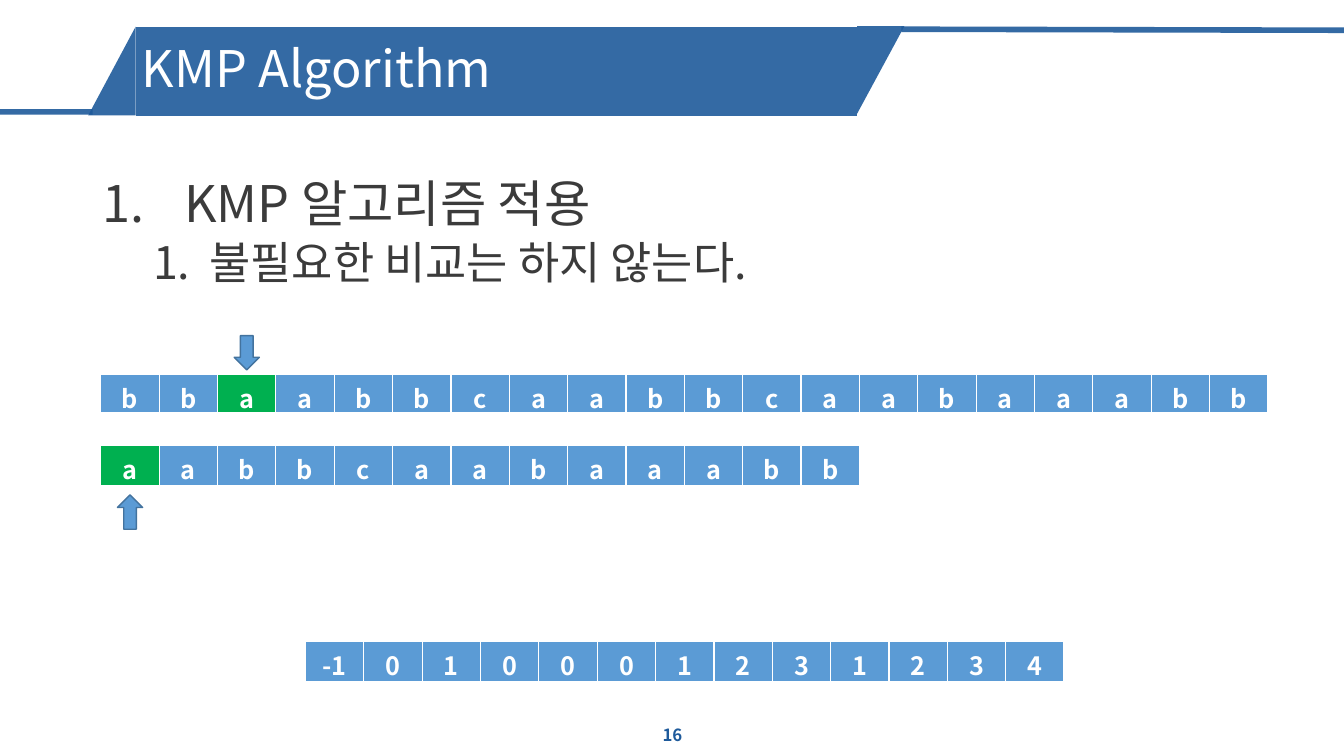
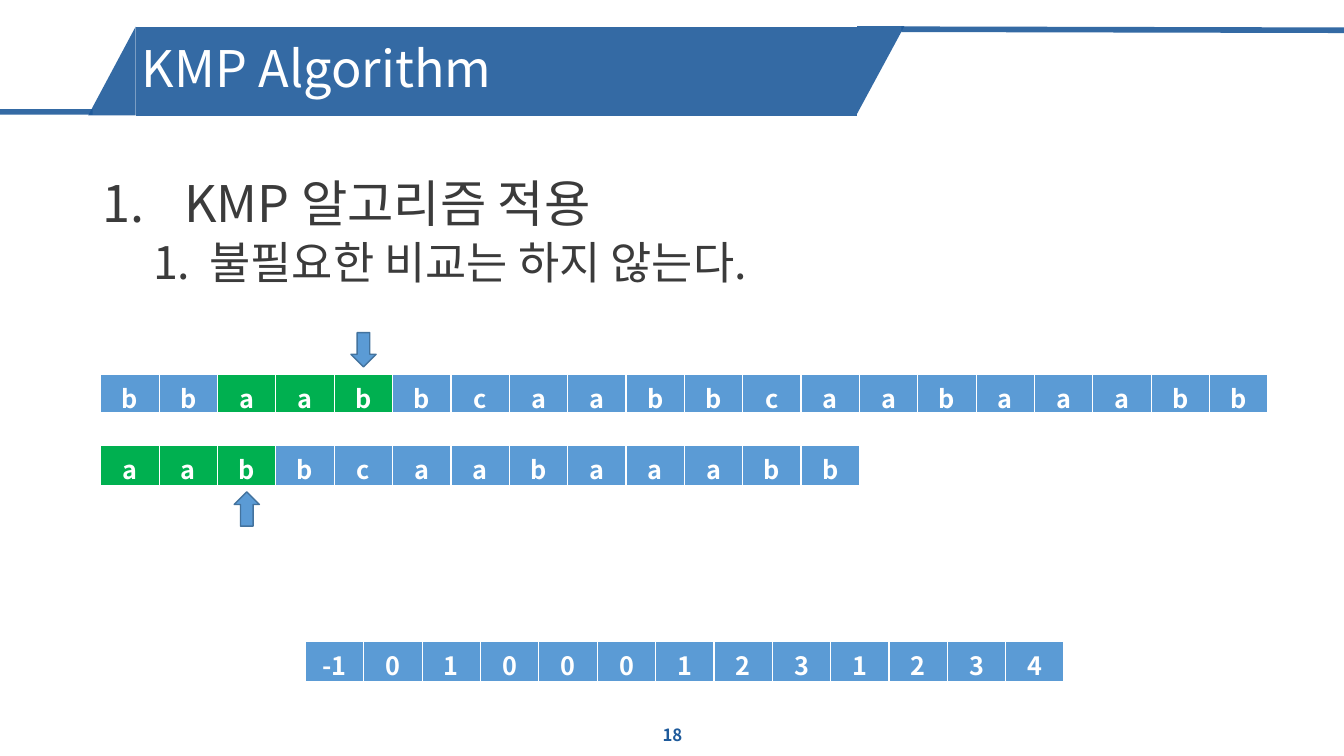
from lxml.etree import SubElement
from pptx import Presentation
from pptx.dml.color import RGBColor as RGB
from pptx.enum.shapes import MSO_CONNECTOR as LINE, MSO_SHAPE as SHAPE
from pptx.enum.text import MSO_ANCHOR as ANCHOR, PP_ALIGN as ALIGN
from pptx.oxml.ns import qn
from pptx.util import Inches, Pt

COLORS = {"band": "1E5A9B", "text": "3B3B3B", "white": "FFFFFF",
          "cell": "5B9BD5", "match": "00B050", "edge": "43739E"}
FONT = "Noto Sans CJK KR"
LEFT = 1.0                 # left edge of the cell grid
COL = 11.58 / 20           # width of one cell
ARROW_W, ARROW_H = 0.25, 0.34

TEXT = "bbaabbcaabbcaabaaabb"
PATTERN = "aabbcaabaaabb"
FAILURE = [-1, 0, 1, 0, 0, 0, 1, 2, 3, 1, 2, 3, 4]

# Page number, start of the match in the text, matched length, arrow lift
STEPS = [(16, 2, 1, 0), (18, 2, 3, 0.03)]


def paint(fill, color, alpha=None):
    fill.solid()
    fill.fore_color.rgb = RGB.from_string(COLORS[color])
    if alpha:
        for clr in fill._xPr.iter(qn("a:srgbClr")):
            SubElement(clr, qn("a:alpha"), val=str(alpha * 1000))


def style(para, size, color, bold=False):
    font = para.font
    font.size, font.bold, font.name = Pt(size), bold, FONT
    font.color.rgb = RGB.from_string(COLORS[color])
    SubElement(font._element, qn("a:ea"), typeface=FONT)


deck = Presentation()
deck.slide_width, deck.slide_height = Inches(13.33), Inches(7.5)

for number, start, length, lift in STEPS:
    page = deck.slides.add_slide(deck.slide_layouts[6])

    # Title band: slanted ends, rectangle, and a line on each side
    for kind, x, y, w, h, turn in [
            (SHAPE.RIGHT_TRIANGLE, 8.3, 0.46, 0.87, 0.47, 90),
            (SHAPE.RIGHT_TRIANGLE, 0.67, 0.47, 0.88, 0.47, 270),
            (SHAPE.RECTANGLE, 1.35, 0.27, 7.15, 0.88, 0)]:
        part = page.shapes.add_shape(kind, Inches(x), Inches(y), Inches(w), Inches(h))
        part.rotation = turn
        part.shadow.inherit = False
        paint(part.fill, "band", 90)
        part.line.fill.background()
    for x1, y1, x2, y2 in [(0, 1.11, 0.92, 1.11), (8.94, 0.29, 13.33, 0.3)]:
        rule = page.shapes.add_connector(
            LINE.STRAIGHT, Inches(x1), Inches(y1), Inches(x2), Inches(y2))
        rule.line.width = Pt(4)
        paint(rule.line.fill, "band", 90)
        SubElement(rule._element.spPr, qn("a:effectLst"))

    # Page number, title and body; a paragraph is text, size, numbering indents
    for x, y, w, h, anchor, align, color, bold, paras in [
            (5.17, 7.1, 3, 0.4, ANCHOR.MIDDLE, ALIGN.CENTER, "band", True,
             [(str(number), 12, None)]),
            (1.31, 0.3, 7.15, 0.81, ANCHOR.MIDDLE, ALIGN.LEFT, "white", False,
             [("KMP Algorithm", 36, None)]),
            (0.92, 1.73, 11.44, 1.4, ANCHOR.TOP, ALIGN.LEFT, "text", False,
             [("KMP 알고리즘 적용", 36, (0.81, -0.81)),
              ("불필요한 비교는 하지 않는다.", 32, (1.06, -0.56))])]:
        box = page.shapes.add_textbox(Inches(x), Inches(y), Inches(w), Inches(h))
        frame = box.text_frame
        frame.word_wrap = True
        frame.vertical_anchor = anchor
        for level, (words, size, indents) in enumerate(paras):
            para = frame.add_paragraph() if level else frame.paragraphs[0]
            para.text, para.level, para.alignment = words, level, align
            para.line_spacing = 0.9
            if level:
                para.space_before = Pt(5)
            if indents:
                props = para._p.get_or_add_pPr()
                props.set("marL", str(Inches(indents[0])))
                props.set("indent", str(Inches(indents[1])))
                SubElement(props, qn("a:buFont"), typeface="+mj-lt")
                SubElement(props, qn("a:buAutoNum"), type="arabicPeriod")
            style(para, size, color, bold)

    # Cell rows: pattern, failure function, text
    matched = range(start, start + length)
    for values, x, y, h, marked in [
            (PATTERN, LEFT, 4.42, 0.41, range(length)),
            (FAILURE, 3.03, 6.36, 0.41, ()),
            (TEXT, LEFT, 3.71, 0.4, matched)]:
        count = len(values)
        table = page.shapes.add_table(
            1, count, Inches(x), Inches(y), Inches(COL * count), Inches(h)).table
        table.horz_banding = False
        for index, value in enumerate(values):
            table.columns[index].width = Inches(COL)
            cell = table.cell(0, index)
            cell.text = str(value)
            para = cell.text_frame.paragraphs[0]
            para.alignment = ALIGN.CENTER
            style(para, 18, "white", True)
            props = cell._tc.get_or_add_tcPr()
            for side, width in [("L", 1), ("R", 1), ("T", 1), ("B", 3)]:
                border = SubElement(props, qn(f"a:ln{side}"), w=str(Pt(width)))
                solid = SubElement(border, qn("a:solidFill"))
                SubElement(solid, qn("a:srgbClr"), val=COLORS["white"])
            paint(cell.fill, "match" if index in marked else "cell")

    # Arrows at the cells now compared
    for index, y, turn in [(matched[-1], 3.33, 0), (length - 1, 4.91, 180)]:
        x = LEFT + COL * (index + 0.5) - ARROW_W / 2
        arrow = page.shapes.add_shape(SHAPE.DOWN_ARROW, Inches(x), Inches(y - lift),
                                      Inches(ARROW_W), Inches(ARROW_H))
        arrow.rotation = turn
        arrow.shadow.inherit = False
        paint(arrow.fill, "cell")
        paint(arrow.line.fill, "edge")
        arrow.line.width = Pt(1)

deck.save("out.pptx")
